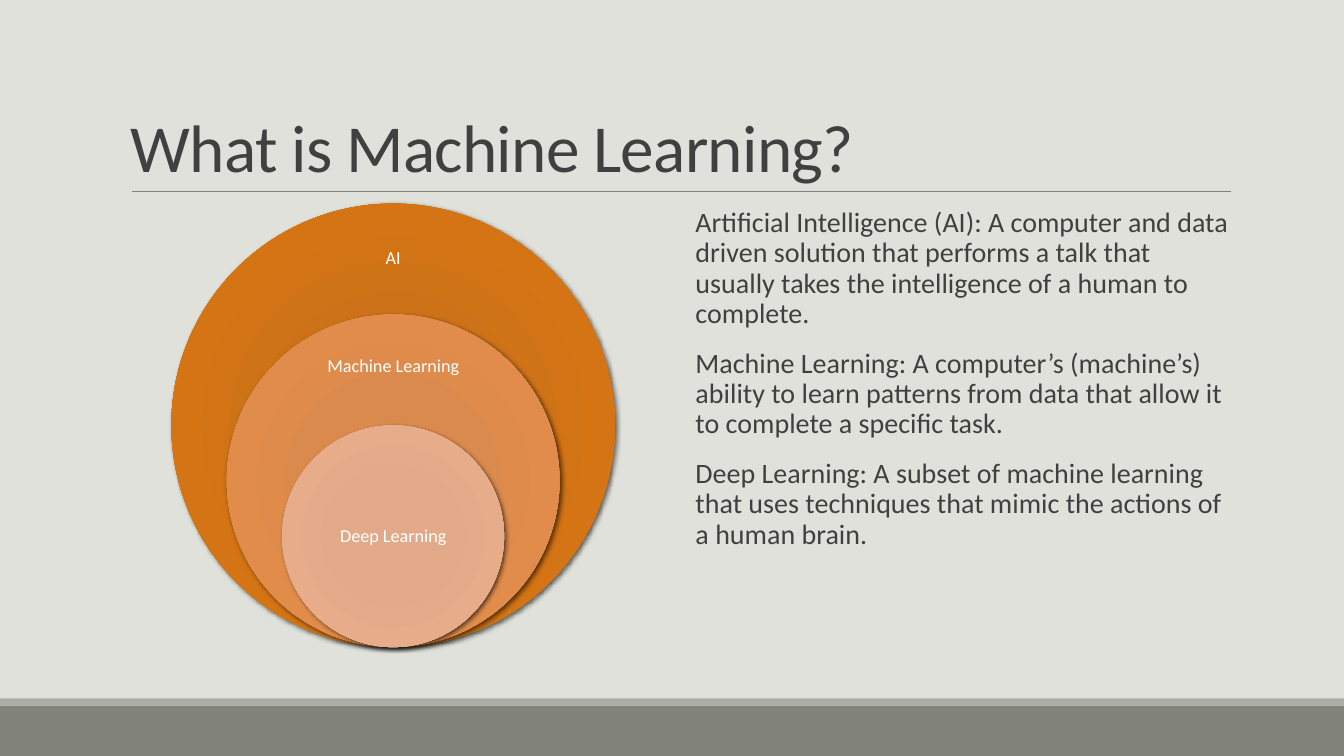
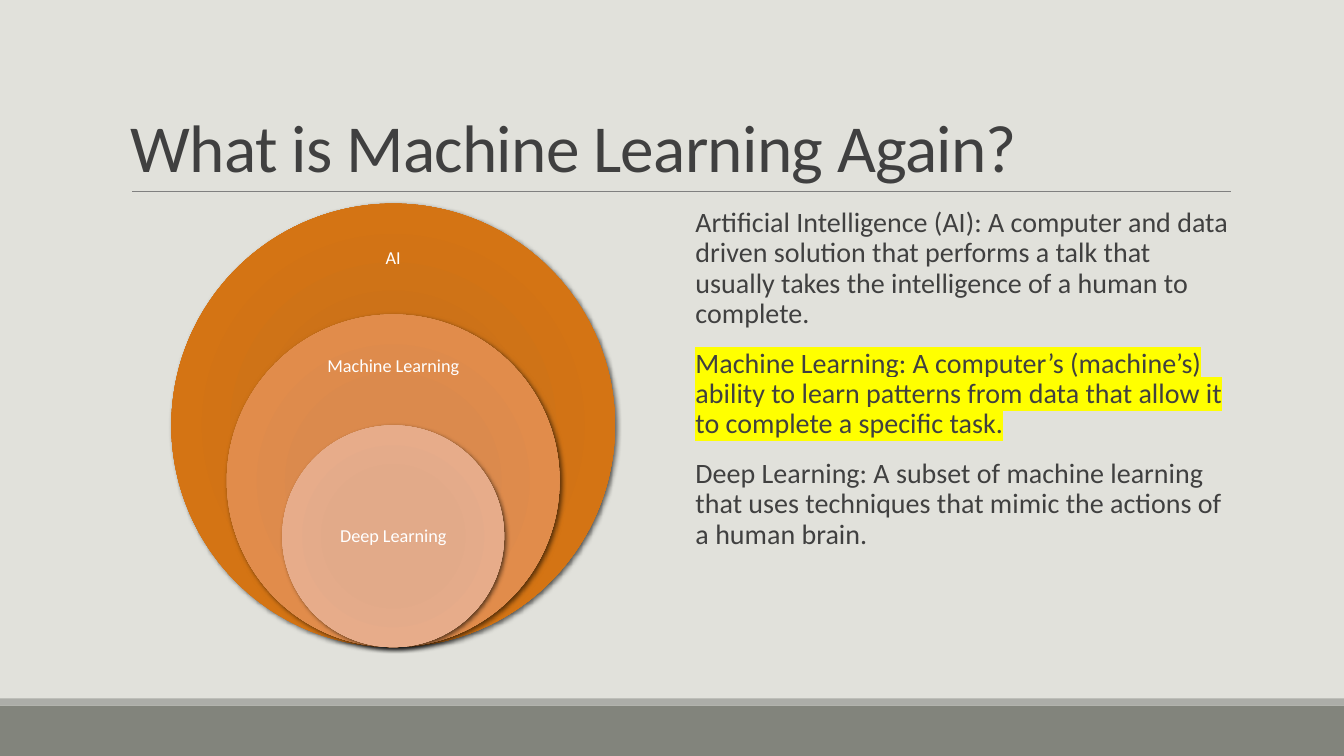
from pptx import Presentation
from pptx.dml.color import RGBColor
from pptx.enum.shapes import MSO_CONNECTOR as Conn, MSO_SHAPE as Shape
from pptx.enum.text import MSO_ANCHOR as Anchor, PP_ALIGN as Align
from pptx.oxml import parse_xml
from pptx.oxml.ns import nsdecls, qn
from pptx.util import Inches, Pt
from lxml import etree

# Colours and font
PAPER = RGBColor(0xE1, 0xE1, 0xDB)
BAND = RGBColor(0x82, 0x84, 0x7C)
STRIP = RGBColor(0xAC, 0xAD, 0xA8)
RULE = RGBColor(0x80, 0x80, 0x80)
INK = RGBColor(0x40, 0x40, 0x40)
WHITE = RGBColor(0xFF, 0xFF, 0xFF)
YELLOW = RGBColor(0xFF, 0xFF, 0x00)
FONT = "Calibri"

# Text styles
TITLE = {"size": Pt(48), "color": INK, "para": {"line_spacing": 0.85}}
LABEL = {"size": Pt(13), "color": WHITE,
         "para": {"line_spacing": 0.9, "alignment": Align.CENTER}}
BODY = {"size": Pt(20), "color": INK,
        "para": {"line_spacing": 0.9, "space_before": Pt(12),
                 "space_after": Pt(2)}}

# Nested circles share a centre line and a lowest point
MID, BASE, SIZE = 3.9, 6.42, 4.4
STOPS = (0, 34, 70, 100)
# label, share of full size, label top, label height, gradient colours
RINGS = [
    ("AI", 1, 2.24, 0.66, ("CF7114", "CD7218", "D47414", "CE7A25")),
    ("Machine Learning", 0.75, 3.33, 0.62,
     ("DC8949", "DB8A4D", "E18C4B", "E0945B")),
    ("Deep Learning", 0.5, 4.77, 1.1,
     ("E1A886", "E2AA89", "E7AC8A", "EAB698")),
]

TERMS = [
    "Artificial Intelligence (AI): A computer and data driven solution that "
    "performs a talk that usually takes the intelligence of a human to "
    "complete.",
    "Machine Learning: A computer’s (machine’s) ability to learn patterns "
    "from data that allow it to complete a specific task.",
    "Deep Learning: A subset of machine learning that uses techniques that "
    "mimic the actions of a human brain.",
]

# title, index of the marked term
SLIDES = [("What is Machine Learning?", None),
          ("What is Machine Learning Again?", 1)]


def box(at):
    return [Inches(n) for n in at]


def mark(run, color):
    """Highlight a run; the tag must come before the font."""
    props = run.font._element
    light = etree.Element(qn("a:highlight"))
    etree.SubElement(light, qn("a:srgbClr")).set("val", str(color))
    props.find(qn("a:latin")).addprevious(light)


def text(slide, at, lines, style, anchor, pads):
    """Add a text box and return its runs."""
    frame = slide.shapes.add_textbox(*box(at)).text_frame
    frame.word_wrap = True
    frame.vertical_anchor = anchor
    for side, pad in zip(("left", "top", "right", "bottom"), pads):
        setattr(frame, "margin_" + side, Inches(pad))
    runs = []
    for i, line in enumerate(lines):
        para = frame.add_paragraph() if i else frame.paragraphs[0]
        for name, value in style["para"].items():
            setattr(para, name, value)
        run = para.add_run()
        run.text = line
        run.font.size = style["size"]
        run.font.color.rgb = style["color"]
        run.font.name = FONT
        runs.append(run)
    return runs


def bar(slide, at, color):
    shape = slide.shapes.add_shape(Shape.RECTANGLE, *box(at))
    shape.shadow.inherit = False
    shape.fill.solid()
    shape.fill.fore_color.rgb = color
    shape.line.fill.background()


def frame(slide, title):
    """Background, bands, title and rule of every slide."""
    slide.background.fill.solid()
    slide.background.fill.fore_color.rgb = PAPER
    bar(slide, (0, 7, 13.33, 0.5), BAND)
    bar(slide, (0, 6.93, 13.33, 0.07), STRIP)
    rule = slide.shapes.add_connector(
        Conn.STRAIGHT, *box((1.31, 1.9, 12.21, 1.9)))
    rule.line.color.rgb = RULE
    rule.line.width = Pt(0.5)
    etree.SubElement(rule._element.spPr, qn("a:effectLst"))
    runs = text(slide, (1.2, 0.31, 11, 1.59), [title], TITLE,
                Anchor.BOTTOM, (0.1, 0.05, 0.1, 0.05))
    runs[0].font._element.set("spc", "-50")


def disc(slide, size, colors):
    """A circle with a radial gradient and a soft shadow."""
    shape = slide.shapes.add_shape(
        Shape.OVAL, *box((MID - size / 2, BASE - size, size, size)))
    shape.line.fill.background()
    shape.fill.background()
    stops = "".join(
        f'<a:gs pos="{pos * 1000}"><a:srgbClr val="{color}"/></a:gs>'
        for pos, color in zip(STOPS, colors))
    grad = parse_xml(
        f'<a:gradFill {nsdecls("a")} rotWithShape="1">'
        f'<a:gsLst>{stops}</a:gsLst><a:path path="circle"><a:fillToRect '
        'l="100000" t="100000" r="100000" b="100000"/></a:path></a:gradFill>')
    props = shape._element.spPr
    props.replace(props.find(qn("a:noFill")), grad)
    shape.shadow.inherit = False
    props.find(qn("a:effectLst")).append(parse_xml(
        f'<a:outerShdw {nsdecls("a")} blurRad="{Pt(3.5)}" dist="{Pt(2)}" '
        'dir="2700000"><a:srgbClr val="000000"><a:alpha val="60000"/>'
        '</a:srgbClr></a:outerShdw>'))


def rings(slide):
    width = 1.55
    for name, share, top, high, colors in RINGS:
        disc(slide, SIZE * share, colors)
        text(slide, (MID - width / 2, top, width, high), [name], LABEL,
             Anchor.MIDDLE, (0.1,) * 4)


def terms(slide, pick):
    runs = text(slide, (6.8, 2.02, 5.4, 4.4), TERMS, BODY,
                Anchor.TOP, (0.1, 0.05, 0, 0.05))
    if pick is not None:
        mark(runs[pick], YELLOW)


def main():
    deck = Presentation()
    deck.slide_width, deck.slide_height = Inches(13.33), Inches(7.5)
    for title, pick in SLIDES:
        slide = deck.slides.add_slide(deck.slide_layouts[6])
        frame(slide, title)
        rings(slide)
        terms(slide, pick)
    deck.save("out.pptx")


if __name__ == "__main__":
    main()
